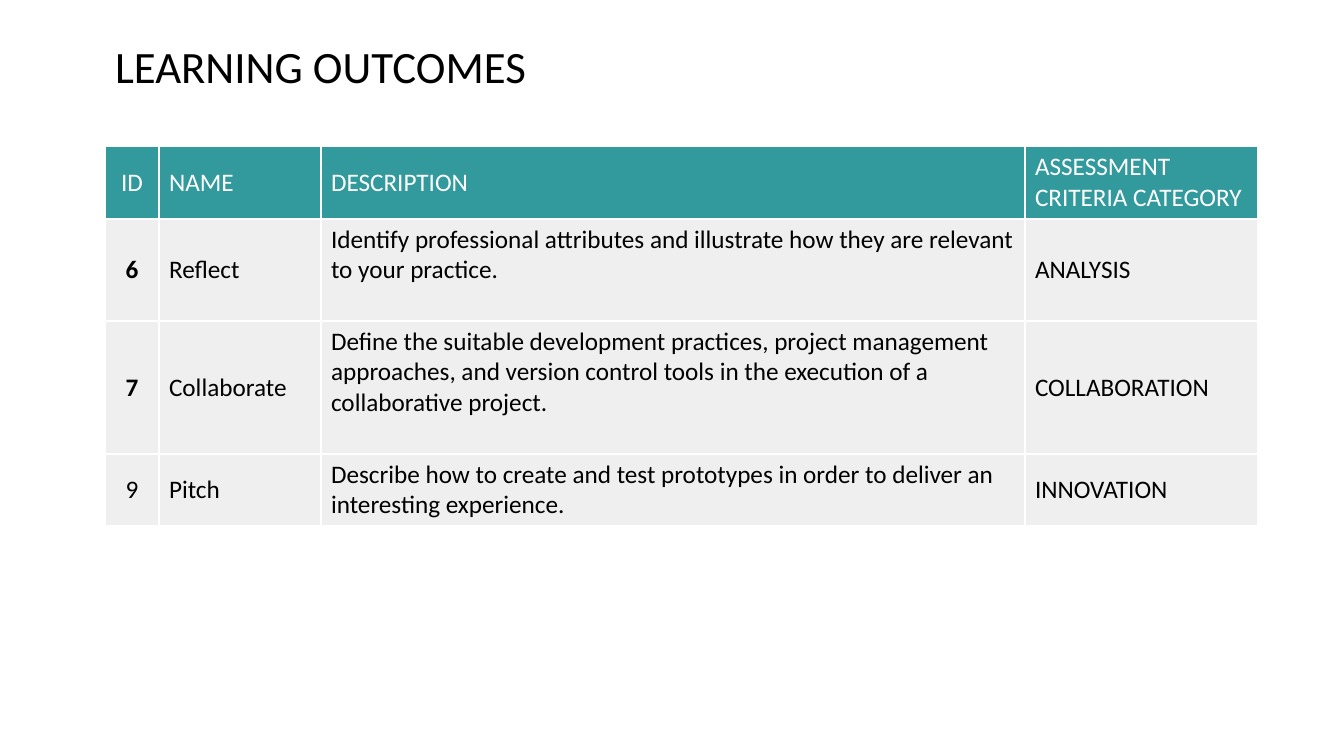
"""Build the learning outcomes slide with its table."""
from dataclasses import dataclass

from lxml import etree
from pptx import Presentation
from pptx.dml.color import RGBColor
from pptx.enum.text import MSO_ANCHOR, MSO_AUTO_SIZE, PP_ALIGN
from pptx.oxml.ns import qn
from pptx.util import Emu, Pt

LEFT, CENTER = PP_ALIGN.LEFT, PP_ALIGN.CENTER
TOP, MIDDLE = MSO_ANCHOR.TOP, MSO_ANCHOR.MIDDLE
NO_FIT = MSO_AUTO_SIZE.NONE
SCALE = 914400 / 100.8
FONT = "Calibri"
BLACK, WHITE, TEAL, GRAY = "000000", "FFFFFF", "329A9D", "EFEFEF"
TITLE_ONLY = 5
WIDTHS = (54, 162, 704, 233)


@dataclass(frozen=True)
class Row:
    height: int
    texts: tuple[str, str, str, str]
    fill: str = GRAY
    color: str = BLACK
    bold: bool = False
    anchor: MSO_ANCHOR = TOP


ROWS = (
    Row(73, ("ID", "NAME", "DESCRIPTION", "ASSESSMENT CRITERIA CATEGORY"),
        TEAL, WHITE, anchor=MIDDLE),
    Row(102, ("6", "Reflect",
              "Identify professional attributes and illustrate how they are "
              "relevant to your practice.", "ANALYSIS"), bold=True),
    Row(133, ("7", "Collaborate",
              "Define the suitable development practices, project management "
              "approaches, and version control tools in the execution of a "
              "collaborative project.", "COLLABORATION"), bold=True),
    Row(71, ("9", "Pitch",
             "Describe how to create and test prototypes in order to deliver "
             "an interesting experience.", "INNOVATION")),
)


def px(size: int) -> Emu:
    return Emu(round(size * SCALE))


def rgb(color: str) -> RGBColor:
    return RGBColor.from_string(color)


def style(para, size: int, color: str, bold: bool = False) -> None:
    font = para.font
    font.name, font.size, font.bold = FONT, Pt(size), bold
    font.color.rgb = rgb(color)


def add_edges(cell) -> None:
    props = cell._tc.get_or_add_tcPr()
    for side in ("lnL", "lnR", "lnT", "lnB"):
        line = etree.SubElement(props, qn(f"a:{side}"), w=str(Pt(1.5)))
        fill = etree.SubElement(line, qn("a:solidFill"))
        etree.SubElement(fill, qn("a:srgbClr"), val=WHITE)


def fill_cell(cell, row: Row, col: int) -> None:
    add_edges(cell)
    cell.fill.solid()
    cell.fill.fore_color.rgb = rgb(row.fill)
    cell.vertical_anchor = row.anchor if col == 2 else MIDDLE
    cell.text = row.texts[col]
    para = cell.text_frame.paragraphs[0]
    para.alignment = CENTER if col == 0 else LEFT
    style(para, 18, row.color, row.bold and col == 0)


def add_title(slide) -> None:
    title = slide.shapes.title
    title.left, title.top = px(105), px(40)
    title.width, title.height = px(886), px(70)
    frame = title.text_frame
    frame.text = "LEARNING OUTCOMES"
    frame.vertical_anchor = TOP
    frame.auto_size = NO_FIT
    para = frame.paragraphs[0]
    para.alignment = LEFT
    para.line_spacing = 0.9
    style(para, 32, BLACK)


def add_grid(slide) -> None:
    height = sum(row.height for row in ROWS)
    table = slide.shapes.add_table(
        len(ROWS), len(WIDTHS), px(105), px(146), px(sum(WIDTHS)), px(height)
    ).table
    table.first_row = table.horz_banding = False
    for col, width in enumerate(WIDTHS):
        table.columns[col].width = px(width)
    for index, row in enumerate(ROWS):
        table.rows[index].height = px(row.height)
        for col in range(len(WIDTHS)):
            fill_cell(table.cell(index, col), row, col)


def main() -> None:
    deck = Presentation()
    deck.slide_width, deck.slide_height = px(1344), px(756)
    slide = deck.slides.add_slide(deck.slide_layouts[TITLE_ONLY])
    add_title(slide)
    add_grid(slide)
    deck.save("out.pptx")


if __name__ == "__main__":
    main()
